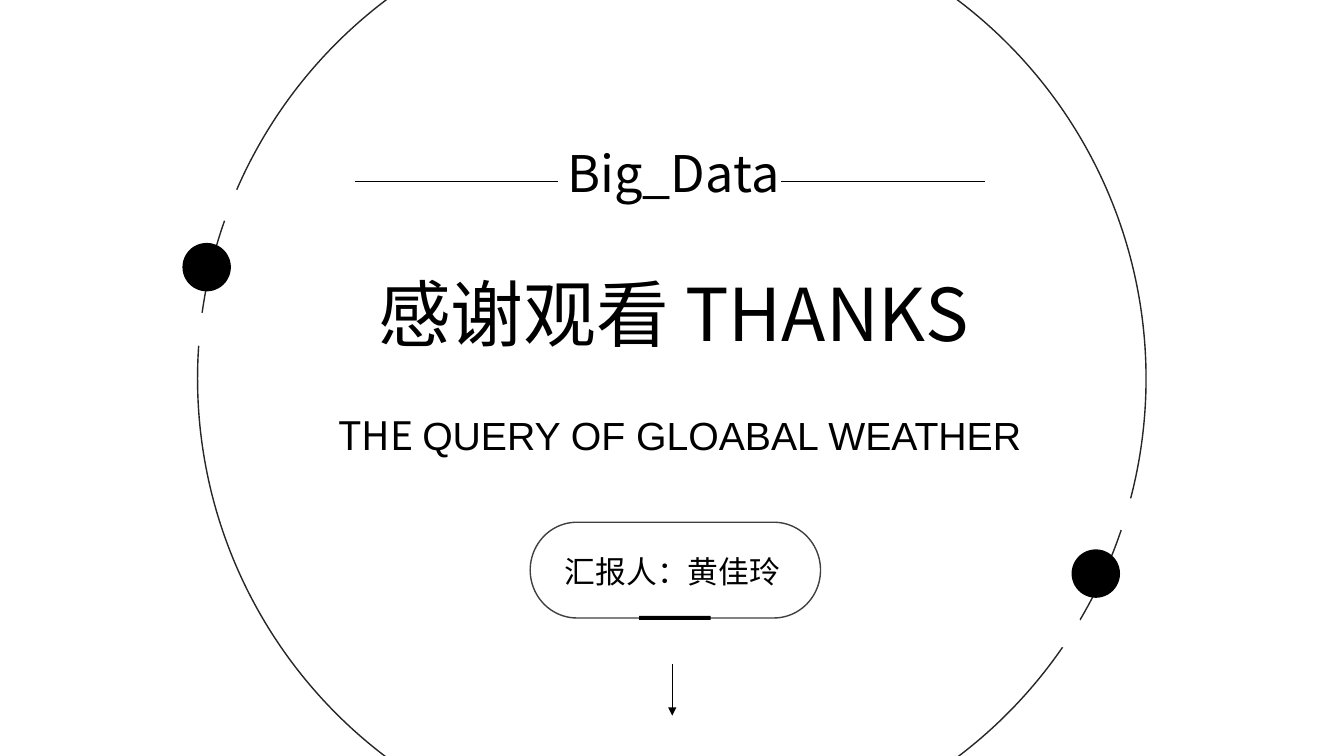
from dataclasses import dataclass

from lxml.etree import SubElement
from pptx import Presentation
from pptx.dml.color import RGBColor
from pptx.enum.shapes import MSO_CONNECTOR, MSO_SHAPE
from pptx.enum.text import MSO_ANCHOR, MSO_AUTO_SIZE, PP_ALIGN
from pptx.oxml.ns import qn
from pptx.util import Pt

BLACK, WHITE = "000000", "FFFFFF"
CHINESE, JAPANESE, LATIN = "Noto Sans CJK SC", "Noto Sans CJK JP", "Arial"


@dataclass
class Box:
    left: float
    top: float
    width: float
    height: float

    def lengths(self):
        return Pt(self.left), Pt(self.top), Pt(self.width), Pt(self.height)


@dataclass
class Orbit:
    """A black dot and the two white gaps it leaves in the ring."""
    dot: tuple[float, float]
    gaps: tuple[tuple[float, float], ...]


RING = Box(141.1, -68.4, 677.5, 677.5)
HALO = Box(172, -25.2, 615.6, 591.1)
DOT_SIZE, GAP_SIZE = 34.6, 23.8
ORBITS = [
    Orbit((130.3, 173.5), ((130.3, 223.2), (152.6, 134.6))),
    Orbit((765.4, 392.4), ((751, 439.2), (793.4, 355.7))),
]
RULE_TOP, RULE_LENGTH = 129.6, 145.5
RULE_LEFTS = (253.4, 558)


def color(value: str) -> RGBColor:
    return RGBColor.from_string(value)


def add_figure(page, kind, box: Box, fill=None, line=None):
    figure = page.shapes.add_shape(kind, *box.lengths())
    figure.shadow.inherit = False
    if fill:
        figure.fill.solid()
        figure.fill.fore_color.rgb = color(fill)
    else:
        figure.fill.background()
    if line:
        figure.line.color.rgb = color(line)
        figure.line.width = Pt(1)
    else:
        figure.line.fill.background()
    return figure


def add_line(page, start: tuple[float, float], end: tuple[float, float], width: float):
    line = page.shapes.add_connector(
        MSO_CONNECTOR.STRAIGHT, *(Pt(value) for value in start + end))
    line.line.color.rgb = color(BLACK)
    line.line.width = Pt(width)
    SubElement(line._element.spPr, qn("a:effectLst"))
    return line


def style_text(shape, size: float, font: str, align, wrap: bool = True):
    frame = shape.text_frame
    frame.auto_size = MSO_AUTO_SIZE.NONE
    frame.word_wrap = wrap
    frame.vertical_anchor = MSO_ANCHOR.MIDDLE
    para = frame.paragraphs[0]
    para.alignment = align
    para.font.size = Pt(size)
    para.font.color.rgb = color(BLACK)
    para.font.name = font
    defaults = para._p.pPr.find(qn("a:defRPr"))
    SubElement(defaults, qn("a:ea"), typeface=font)


def add_label(page, box: Box, text: str, size: float, font: str):
    label = page.shapes.add_textbox(*box.lengths())
    label.text_frame.text = text
    style_text(label, size, font, PP_ALIGN.CENTER)


def add_ring(page):
    halo = add_figure(page, MSO_SHAPE.OVAL, HALO, fill=WHITE)
    tint = halo._element.spPr.find(qn("a:solidFill"))[0]
    SubElement(tint, qn("a:alpha"), val="50000")
    add_figure(page, MSO_SHAPE.OVAL, RING, line="262626")
    for orbit in ORBITS:
        add_figure(page, MSO_SHAPE.OVAL, Box(*orbit.dot, DOT_SIZE, DOT_SIZE), fill=BLACK)
        for gap in orbit.gaps:
            add_figure(page, MSO_SHAPE.OVAL, Box(*gap, GAP_SIZE, GAP_SIZE), fill=WHITE)


def add_presenter(page):
    add_figure(page, MSO_SHAPE.FLOWCHART_TERMINATOR,
               Box(378.7, 373, 207.4, 68.4), line="404040")
    add_label(page, Box(391, 391, 178.6, 33.8), "汇报人：黄佳玲", 22, CHINESE)
    add_figure(page, MSO_SHAPE.RECTANGLE, Box(456.5, 439.9, 51.1, 2.9), fill=BLACK)


def add_arrow(page):
    arrow = add_line(page, (480.2, 474.5), (480.2, 511.2), 1)
    SubElement(arrow.line._get_or_add_ln(), qn("a:tailEnd"), type="triangle")


def place_title(page):
    title = page.shapes.title
    title.left, title.top, title.width, title.height = Box(112.3, 188, 737.3, 70.6).lengths()
    title.text_frame.text = "感谢观看 THANKS"
    style_text(title, 52, CHINESE, PP_ALIGN.CENTER)
    page.shapes._spTree.append(title._element)  # in front of the translucent halo


def add_subtitle(page):
    subtitle = page.shapes.add_textbox(*Box(234.7, 290.2, 514.8, 41).lengths())
    para = subtitle.text_frame.paragraphs[0]
    for text, font in (("THE ", JAPANESE), ("QUERY OF GLOABAL WEATHER", LATIN)):
        span = para.add_run()
        span.text = text
        span.font.name = font
    style_text(subtitle, 28, JAPANESE, PP_ALIGN.LEFT, wrap=False)


def main():
    deck = Presentation()
    deck.slide_width, deck.slide_height = Pt(960), Pt(540)
    page = deck.slides.add_slide(deck.slide_layouts.get_by_name("Title Only"))
    add_ring(page)
    for left in RULE_LEFTS:
        add_line(page, (left, RULE_TOP), (left + RULE_LENGTH, RULE_TOP), 0.5)
    add_presenter(page)
    add_arrow(page)
    add_label(page, Box(384.5, 97.2, 193, 51.1), "Big_Data", 36, JAPANESE)
    place_title(page)
    add_subtitle(page)
    deck.save("out.pptx")


if __name__ == "__main__":
    main()
